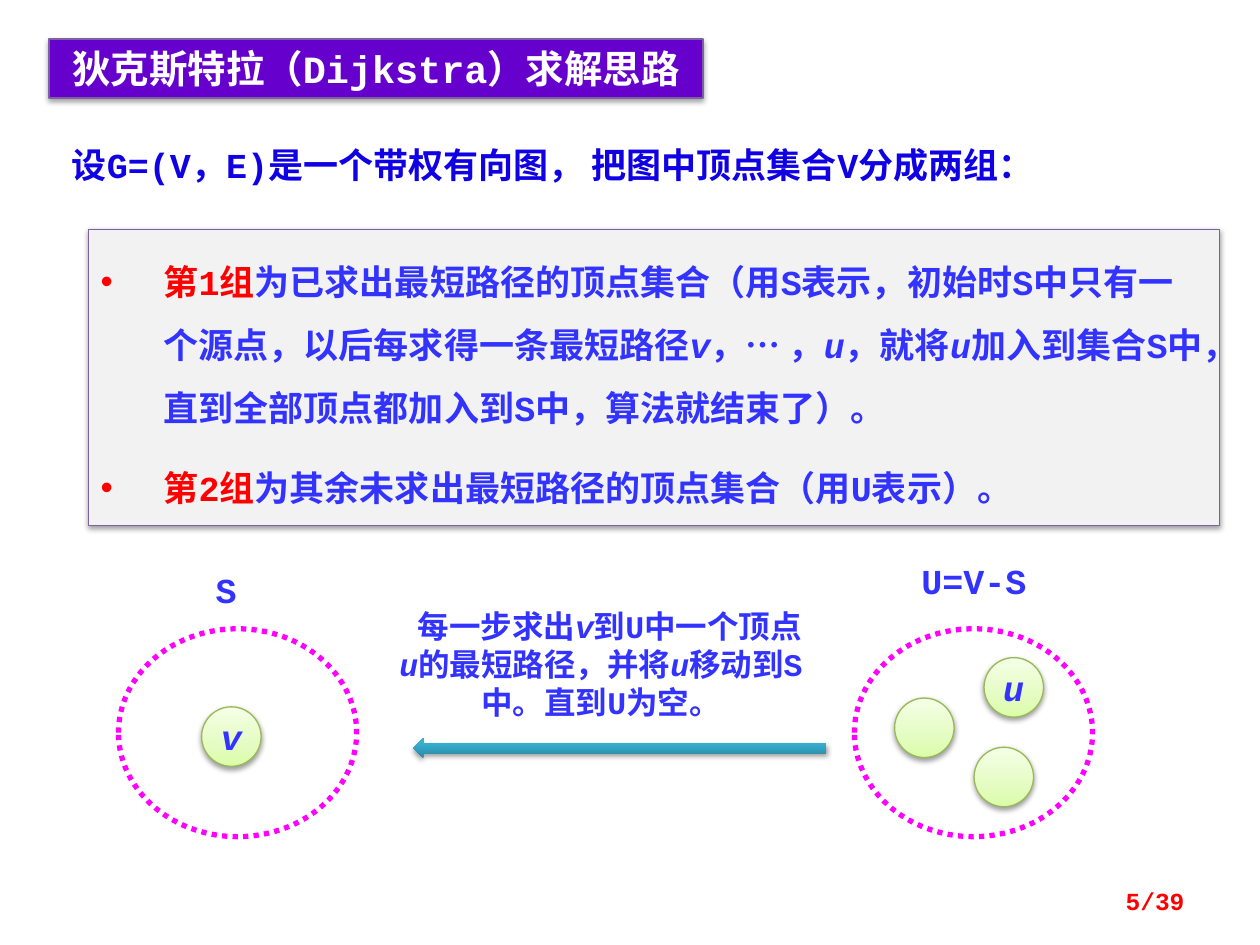
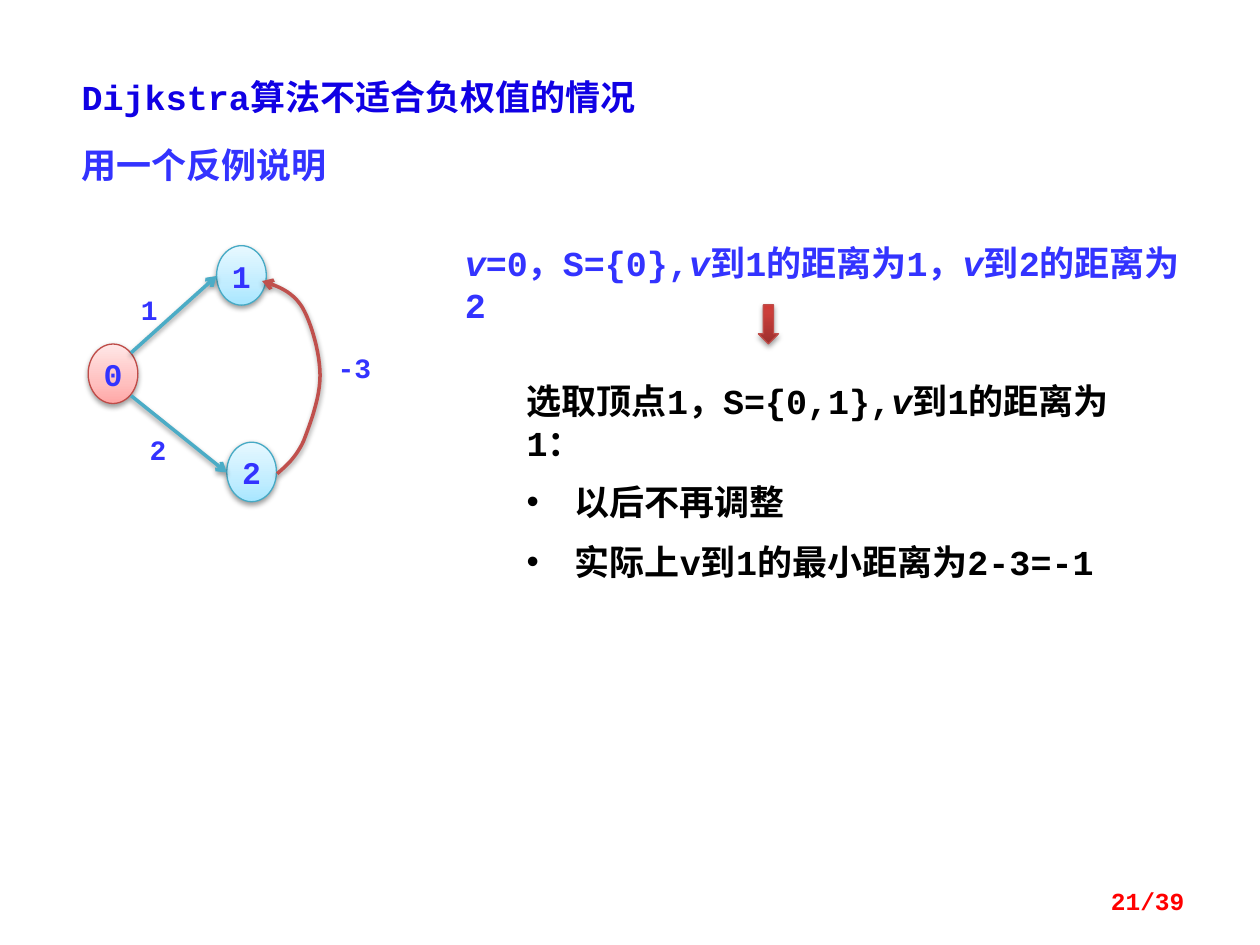
"""Build two slides on Dijkstra's shortest path algorithm."""
import copy
from dataclasses import dataclass

import lxml.etree
import pptx
import pptx.dml.color
import pptx.enum.dml
import pptx.enum.shapes
import pptx.enum.text
import pptx.oxml.ns
import pptx.util


@dataclass(frozen=True)
class Theme:
    font: str = "Courier New"
    cjk_font: str = "Noto Sans CJK SC"
    heading: str = "1000E4"
    body: str = "3333FF"
    accent: str = "FF0000"
    black: str = "000000"
    white: str = "FFFFFF"
    band: str = "6600CC"
    panel: str = "F2F2F2"
    panel_line: str = "7D60A0"
    set_line: str = "FF00FF"
    edge: str = "4BACC6"
    negative_edge: str = "C0504D"
    green: tuple = ("DAFDA7", "E4FCC2", "F5FFE7")
    green_line: str = "98B955"
    pink: tuple = ("FFA6A5", "FFC0BF", "FFE7E7")
    red_line: str = "BF4C48"
    sky: tuple = ("A7E6FF", "C1EDFF", "E7F8FF")
    sky_line: str = "46AAC5"
    teal_arrow: tuple = ("2A88A2", "37B1D2", "34B4D6")
    red_arrow: tuple = ("9C2F2D", "CB3E3A", "CE3B37")
    title_size: int = 22
    body_size: int = 20
    note_size: int = 18
    weight_size: int = 16
    page_size: int = 14


theme = Theme()
Pt = pptx.util.Pt
rgb = pptx.dml.color.RGBColor.from_string
qn = pptx.oxml.ns.qn
ALIGN = pptx.enum.text.PP_ALIGN
ANCHOR = pptx.enum.text.MSO_ANCHOR
SHAPE = pptx.enum.shapes.MSO_SHAPE


def paint(shape, fill=None, line=None, width=0.75, shadow=True, middle_stop=0.35, arrow=False):
    if isinstance(fill, tuple):
        shape.fill.gradient()
        shape.fill.gradient_angle = 90
        stops = shape._element.spPr.find(".//" + qn("a:gsLst"))
        stops.insert(1, copy.deepcopy(stops[0]))
        for stop, color, position in zip(shape.fill.gradient_stops, fill, (0, middle_stop, 1)):
            stop.color.rgb = rgb(color)
            stop.position = position
    elif fill:
        shape.fill.solid()
        shape.fill.fore_color.rgb = rgb(fill)
    elif hasattr(shape, "fill"):
        shape.fill.background()
    if line:
        shape.line.color.rgb = rgb(line)
        shape.line.width = Pt(width)
    else:
        shape.line.fill.background()
    properties = shape._element.spPr
    if arrow:
        lxml.etree.SubElement(properties.find(qn("a:ln")), qn("a:tailEnd"), type="arrow")
    effects = lxml.etree.SubElement(properties, qn("a:effectLst"))
    if shadow:
        outer = lxml.etree.SubElement(effects, qn("a:outerShdw"), blurRad=str(Pt(3.1)),
                                      dist=str(Pt(1.6)), dir="5400000", rotWithShape="0")
        color = lxml.etree.SubElement(outer, qn("a:srgbClr"), val=theme.black)
        lxml.etree.SubElement(color, qn("a:alpha"), val="38000")


def write(shape, paragraphs, size=theme.body_size, color=theme.body, align=ALIGN.LEFT,
          anchor=ANCHOR.TOP, margins=(7.2, 3.6, 7.2, 3.6), wrap=True,
          bullet_indent=0, first_bullet=0, line_spacing=None):
    frame = shape.text_frame
    frame.word_wrap = wrap
    frame.vertical_anchor = anchor
    frame.margin_left, frame.margin_top, frame.margin_right, frame.margin_bottom = map(Pt, margins)
    for index, parts in enumerate(paragraphs):
        paragraph = frame.add_paragraph() if index else frame.paragraphs[0]
        paragraph.alignment = align
        if line_spacing:
            paragraph.line_spacing = line_spacing
        if index:
            paragraph.space_before = Pt(size / 2)
        if bullet_indent and index >= first_bullet:
            properties = paragraph._p.get_or_add_pPr()
            properties.set("marL", str(Pt(bullet_indent)))
            properties.set("indent", str(Pt(-bullet_indent)))
            lxml.etree.SubElement(properties, qn("a:buFont"), typeface="Arial")
            lxml.etree.SubElement(properties, qn("a:buChar"), char="•")
        paragraph.font.name = theme.font
        paragraph.font.size = Pt(size)
        paragraph.font.bold = True
        mixed = any(style == "accent" for text, style in parts)
        if not mixed:
            paragraph.font.color.rgb = rgb(color)
        for text, style in parts:
            run = paragraph.add_run()
            run.text = text
            if mixed:
                run.font.color.rgb = rgb(theme.accent if style == "accent" else color)
            if style == "italic":
                run.font.italic = True
            if style == "symbol":
                run.font.name = theme.cjk_font


presentation = pptx.Presentation()
presentation.slide_width, presentation.slide_height = Pt(720), Pt(540)
blank_layout = presentation.slide_layouts[6]
v, u = ("v", "italic"), ("u", "italic")

idea_slide = presentation.slides.add_slide(blank_layout)
shapes = idea_slide.shapes

intro = shapes.add_textbox(Pt(34), Pt(78.5), Pt(638.6), Pt(31.7))
write(intro, [[("设G=(V，E)是一个带权有向图， 把图中顶点集合V分成两组：", "")]],
      color=theme.heading, align=ALIGN.JUSTIFY)

title = shapes.add_shape(SHAPE.RECTANGLE, Pt(28), Pt(22.3), Pt(373.7), Pt(33.8))
paint(title, theme.band, theme.panel_line)
write(title, [[("狄克斯特拉（Dijkstra）求解思路", "")]], theme.title_size, theme.white, ALIGN.CENTER)

for left in (67.7, 488.2):
    vertex_set = shapes.add_shape(SHAPE.OVAL, Pt(left), Pt(359.3), Pt(136.1), Pt(118.8))
    paint(vertex_set, line=theme.set_line, width=3, shadow=False)
    vertex_set.line.dash_style = pptx.enum.dml.MSO_LINE.ROUND_DOT

for name, left, top, width in (("S", 106.6, 324.7, 45.4), ("U=V-S", 517, 319.7, 79.2)):
    set_label = shapes.add_textbox(Pt(left), Pt(top), Pt(width), Pt(24.5))
    write(set_label, [[(name, "")]], align=ALIGN.CENTER, margins=(0, 0, 0, 0))

for name, left, top in (("v", 115.2, 403.9), ("u", 562.3, 375.8),
                        ("", 556.6, 427), ("", 511.2, 398.9)):
    vertex = shapes.add_shape(SHAPE.OVAL, Pt(left), Pt(top), Pt(34), Pt(34))
    paint(vertex, theme.green, theme.green_line)
    if name:
        write(vertex, [[(name, "")]], align=ALIGN.CENTER, anchor=ANCHOR.MIDDLE, wrap=False)
        vertex.text_frame.paragraphs[0].font.italic = True

groups = shapes.add_shape(SHAPE.RECTANGLE, Pt(50.4), Pt(131), Pt(646.6), Pt(169.2))
paint(groups, theme.panel, theme.panel_line)
write(groups, [
    [("第1组", "accent"),
     ("为已求出最短路径的顶点集合（用S表示，初始时S中只有一个源点，以后每求得一条最短路径", ""),
     v, ("，", ""), ("… ", "symbol"), ("，", ""), u, ("，就将", ""), u,
     ("加入到集合S中，直到全部顶点都加入到S中，算法就结束了）。", "")],
    [("第2组", "accent"), ("为其余未求出最短路径的顶点集合（用U表示）。", "")],
], margins=(7.2, 5.8, 7.2, 5.8), bullet_indent=36, line_spacing=1.5)

step_note = shapes.add_textbox(Pt(219.6), Pt(343.4), Pt(247.7), Pt(72.7))
write(step_note, [[("每一步求出", ""), v, ("到U中一个顶点", ""), u, ("的最短路径，并将", ""), u,
                   ("移动到S中。直到U为空。", "")]], theme.note_size, align=ALIGN.CENTER)
step_note.text_frame.paragraphs[0]._p.get_or_add_pPr().set("indent", str(Pt(10)))

move_arrow = shapes.add_shape(SHAPE.LEFT_ARROW, Pt(236.2), Pt(421.9), Pt(236.2), Pt(11.5))
paint(move_arrow, theme.teal_arrow, middle_stop=0.8)

counterexample_slide = presentation.slides.add_slide(blank_layout)
shapes = counterexample_slide.shapes

for text, top, width, color in (("Dijkstra算法不适合负权值的情况", 39.6, 354.2, theme.heading),
                                ("用一个反例说明", 78.5, 163.4, theme.body)):
    heading = shapes.add_textbox(Pt(39.6), Pt(top), Pt(width), Pt(31.7))
    write(heading, [[(text, "")]], color=color)
heading.text_frame.paragraphs[0].font.name = theme.cjk_font

for name, left, top, fill, line in (("0", 50.4, 196.6, theme.pink, theme.red_line),
                                    ("1", 123.8, 140.4, theme.sky, theme.sky_line),
                                    ("2", 129.6, 252.7, theme.sky, theme.sky_line)):
    node = shapes.add_shape(SHAPE.OVAL, Pt(left), Pt(top), Pt(28.4), Pt(34))
    paint(node, fill, line)
    write(node, [[(name, "")]], theme.note_size, align=ALIGN.CENTER,
          anchor=ANCHOR.MIDDLE, wrap=False)

for ends in ((74.9, 201.6, 123.8, 157.7), (74.9, 226.1, 129.6, 270)):
    edge = shapes.add_connector(pptx.enum.shapes.MSO_CONNECTOR.STRAIGHT, *map(Pt, ends))
    paint(edge, line=theme.edge, width=2, arrow=True)

curve = [(158.4, 270.7), (163.4, 266.4), (169.2, 261.4), (173.5, 252),
         (177.1, 242.6), (182.9, 227.5), (182.9, 214.6),
         (182.9, 201.6), (177.8, 184.3), (172.8, 175.7),
         (167, 166.3), (158.4, 163.4), (149.8, 160.6)]
steps = 12
curve_points = []
for start in range(0, len(curve) - 1, 3):
    for step in range(1, steps + 1):
        t = step / steps
        weights = ((1 - t) ** 3, 3 * t * (1 - t) ** 2, 3 * t ** 2 * (1 - t), t ** 3)
        controls = curve[start:start + 4]
        curve_points.append(tuple(Pt(sum(weight * point[axis] for weight, point
                                         in zip(weights, controls))) for axis in (0, 1)))
builder = shapes.build_freeform(*map(Pt, curve[0]))
builder.add_line_segments(curve_points, close=False)
paint(builder.convert_to_shape(), line=theme.negative_edge, width=2, arrow=True)

for weight, left, top, width in (("1", 73.4, 163.4, 28), ("2", 78.5, 243.4, 28),
                                 ("-3", 185.8, 196.6, 39.6)):
    weight_label = shapes.add_textbox(Pt(left), Pt(top), Pt(width), Pt(26.6))
    write(weight_label, [[(weight, "")]], theme.weight_size)

start_state = shapes.add_textbox(Pt(258.5), Pt(134.6), Pt(433.4), Pt(31.7))
write(start_state, [[v, ("=0，S={0},", ""), v, ("到1的距离为1，", ""), v, ("到2的距离为2", "")]])

next_arrow = shapes.add_shape(SHAPE.DOWN_ARROW, Pt(433.4), Pt(174.2), Pt(11.5), Pt(22.3))
paint(next_arrow, theme.red_arrow, theme.red_line, middle_stop=0.8)

conclusion = shapes.add_shape(SHAPE.RECTANGLE, Pt(286.6), Pt(208.1), Pt(371.5), Pt(113.8))
paint(conclusion, theme.white, shadow=False)
write(conclusion, [
    [("选取顶点1，S={0,1},", ""), v, ("到1的距离为1：", "")],
    [("以后不再调整", "")],
    [("实际上v到1的最小距离为2-3=-1", "")],
], color=theme.black, margins=(14.4, 8.6, 7.2, 8.6), bullet_indent=27.4, first_bullet=1)

for slide, page in ((idea_slide, "5/39"), (counterexample_slide, "21/39")):
    page_number = slide.shapes.add_textbox(Pt(516.2), Pt(500.4), Pt(167.8), Pt(28.8))
    write(page_number, [[(page, "")]], theme.page_size, theme.accent, ALIGN.RIGHT, ANCHOR.MIDDLE)

presentation.save("out.pptx")
